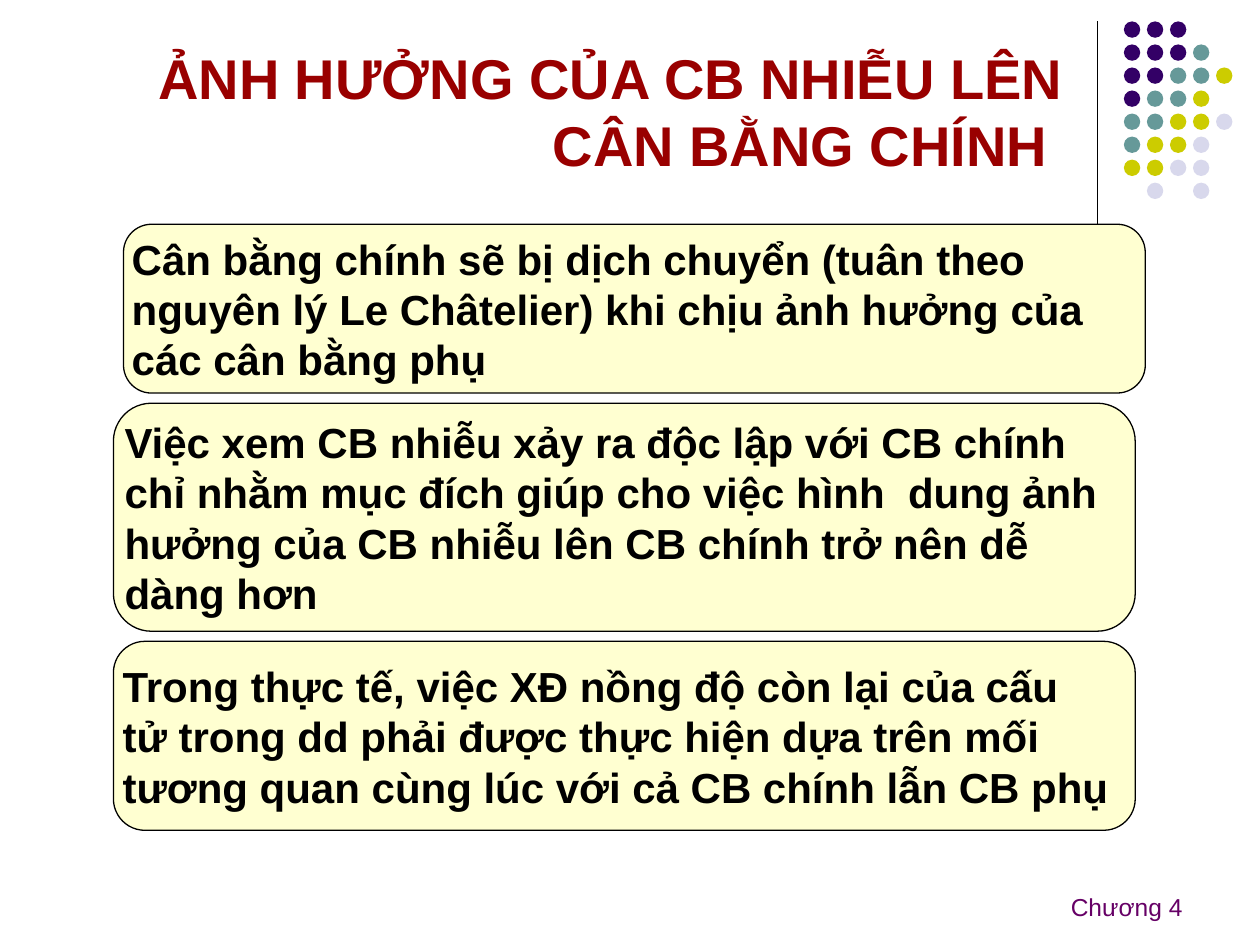
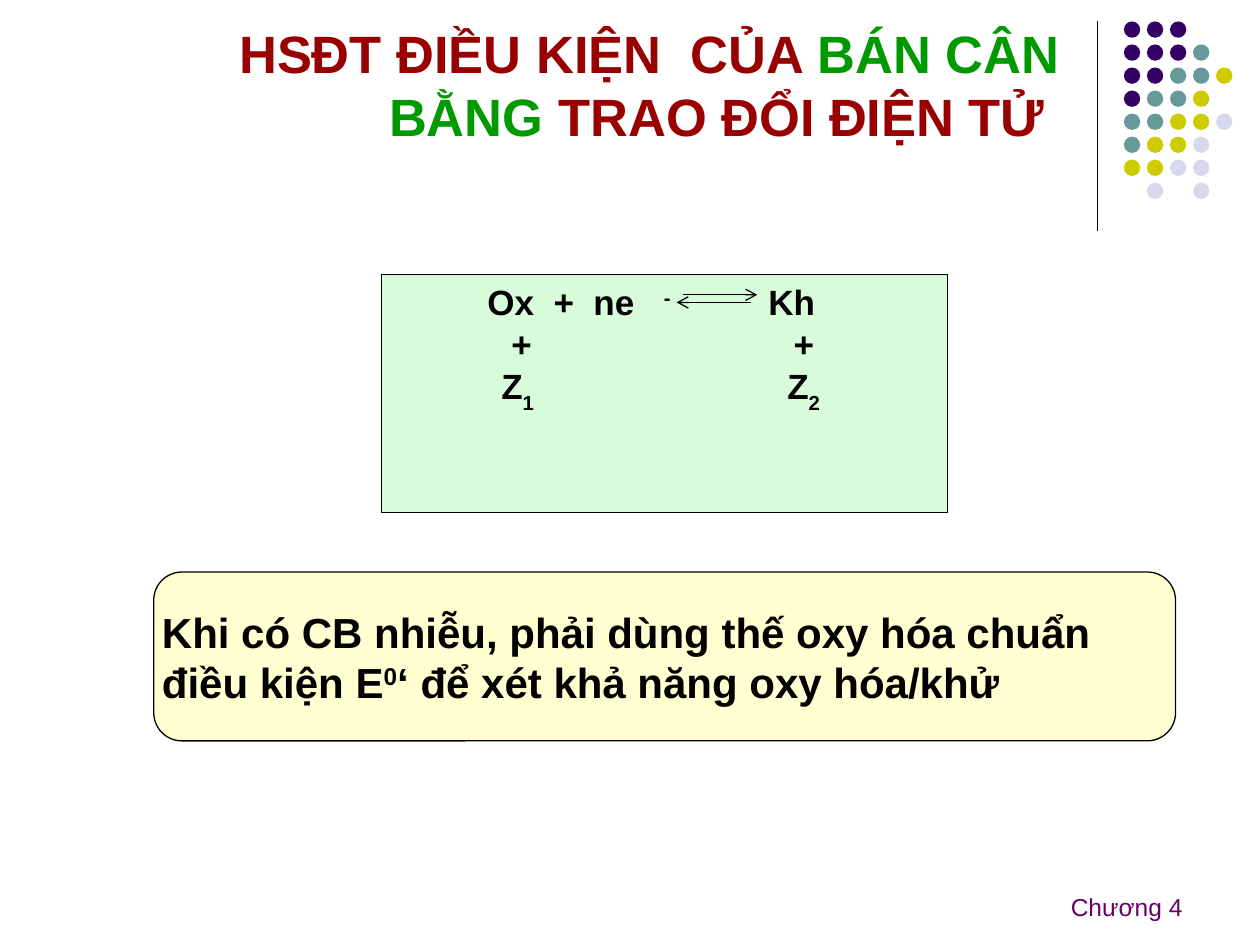
from lxml import etree
from pptx import Presentation
from pptx.dml.color import RGBColor
from pptx.enum import shapes, text
from pptx.oxml import ns
from pptx.util import Inches, Pt

BLACK, RED, GREEN, PURPLE = "000000", "990000", "009900", "660066"
CREAM, MINT = "FFFFD1", "D8FCDA"
DOT_COLORS = {"P": "330066", "T": "669999", "Y": "CCCC00", "L": "D8D8EC"}
DOT_ROWS = ["PPP", "PPPT", "PPTTY", "PTTY", "TTYYL", "TYYL", "YYLL", " L L"]
DOT_SIZE, DOT_PITCH = 0.13, 1.28 / 7

# Vietnamese tones are stored as combining marks after the vowel
VOWELS = "aăâeêioôơuưy"
TONED_VOWELS = {
    0x300: "àằầèềìòồờùừỳ",
    0x301: "áắấéếíóốớúứý",
    0x303: "ãẵẫẽễĩõỗỡũữỹ",
    0x309: "ảẳẩẻểỉỏổởủửỷ",
    0x323: "ạặậẹệịọộợụựỵ",
}
TONE_TABLE = {}
for mark, toned_vowels in TONED_VOWELS.items():
    for vowel, toned in zip(VOWELS + VOWELS.upper(), toned_vowels + toned_vowels.upper()):
        TONE_TABLE[ord(toned)] = vowel + chr(mark)


def paint(shape, fill, outline=None):
    """Give a shape a flat fill and a thin outline, or none."""
    shape.shadow.inherit = False
    shape.fill.solid()
    shape.fill.fore_color.rgb = RGBColor.from_string(fill)
    if outline:
        shape.line.color.rgb = RGBColor.from_string(outline)
        shape.line.width = Pt(0.75)
    else:
        shape.line.fill.background()


def write(shape, lines, size, color, bold=True, align=text.PP_ALIGN.LEFT, **frame_format):
    """Write lines of (text, colour, baseline) runs; plain strings take the defaults."""
    frame = shape.text_frame
    frame_format = {"auto_size": text.MSO_AUTO_SIZE.NONE, **frame_format}
    for name, value in frame_format.items():
        setattr(frame, name, value)
    for number, line in enumerate(lines):
        paragraph = frame.add_paragraph() if number else frame.paragraphs[0]
        paragraph.alignment = align
        for part in [line] if isinstance(line, str) else line:
            words, run_color, baseline = (part, color, 0) if isinstance(part, str) else part
            run = paragraph.add_run()
            run.text = words.translate(TONE_TABLE)
            for name, value in {"name": "Arial", "size": Pt(size), "bold": bold}.items():
                setattr(run.font, name, value)
            run.font.color.rgb = RGBColor.from_string(run_color)
            if baseline:
                run.font._element.set("baseline", str(baseline * 1000))


# Content of the two slides
slides = [
    {
        "title": ["ẢNH HƯỞNG CỦA CB NHIỄU LÊN CÂN BẰNG CHÍNH "],
        "title_place": (0.51, 0.29, 8.03, 1.17),
        "title_size": 32,
        "title_anchor": text.MSO_ANCHOR.MIDDLE,
        "statements": [
            ((0.98, 1.78, 8.11, 1.34), [
                "Cân bằng chính sẽ bị dịch chuyển (tuân theo",
                "nguyên lý Le Châtelier) khi chịu ảnh hưởng của",
                "các cân bằng phụ"]),
            ((0.9, 3.2, 8.11, 1.81), [
                "Việc xem CB nhiễu xảy ra độc lập với CB chính",
                "chỉ nhằm mục đích giúp cho việc hình  dung ảnh",
                "hưởng của CB nhiễu lên CB chính trở nên dễ",
                "dàng hơn"]),
            ((0.9, 5.09, 8.11, 1.5), [
                "Trong thực tế, việc XĐ nồng độ còn lại của cấu",
                "tử trong dd phải được thực hiện dựa trên mối",
                "tương quan cùng lúc với cả CB chính lẫn CB phụ"]),
        ],
    },
    {
        "title": ["HSĐT ĐIỀU KIỆN  CỦA ", ("BÁN CÂN BẰNG ", GREEN, 0), "TRAO ĐỔI ĐIỆN TỬ "],
        "title_place": (1.14, 0.12, 7.37, 1.1),
        "title_size": 30,
        "title_anchor": text.MSO_ANCHOR.BOTTOM,
        "statements": [
            ((1.22, 4.54, 8.11, 1.34), [
                "Khi có CB nhiễu, phải dùng thế oxy hóa chuẩn",
                ["điều kiện E", ("0", BLACK, 30), "‘ để xét khả năng oxy hóa/khử"]]),
        ],
    },
]

deck = Presentation()
deck.slide_width, deck.slide_height = Inches(10), Inches(7.5)
title_only = deck.slide_layouts[5]

for content in slides:
    slide = deck.slides.add_slide(title_only)

    # Title
    title = slide.shapes.title
    for side, value in zip(("left", "top", "width", "height"), content["title_place"]):
        setattr(title, side, Inches(value))
    write(title, [content["title"]], content["title_size"], RED, align=text.PP_ALIGN.RIGHT,
          vertical_anchor=content["title_anchor"], word_wrap=True)

    # Vertical rule and dot pattern in the corner
    rule = slide.shapes.add_connector(shapes.MSO_CONNECTOR.STRAIGHT, Inches(8.71), Inches(0.17),
                                      Inches(8.71), Inches(1.83))
    connectors = [rule]
    dots = slide.shapes.add_group_shape()
    for row, keys in enumerate(DOT_ROWS):
        for column, key in enumerate(keys):
            if key != " ":
                dot = dots.shapes.add_shape(
                    shapes.MSO_SHAPE.OVAL, Inches(8.92 + column * DOT_PITCH),
                    Inches(0.17 + row * DOT_PITCH), Inches(DOT_SIZE), Inches(DOT_SIZE))
                paint(dot, DOT_COLORS[key])

    # Chapter footer
    chapter = slide.shapes.add_textbox(Inches(8.4), Inches(7.03), Inches(1.09), Inches(0.34))
    write(chapter, ["Chương 4"], 14, PURPLE, bold=False, word_wrap=False)

    # Half-reaction with its side reactions, on the second slide only
    if content is slides[1]:
        reaction = slide.shapes.add_group_shape()
        equation = reaction.shapes.add_shape(shapes.MSO_SHAPE.RECTANGLE, Inches(3.03), Inches(2.18),
                                             Inches(4.49), Inches(1.89))
        paint(equation, MINT, BLACK)
        write(equation, [["\tOx  +  ne\t", ("-", BLACK, 30), "\tKh"],
                         "\t+\t+",
                         ["\tZ", ("1", BLACK, -30), "\tZ", ("2", BLACK, -30)]],
              20, BLACK, vertical_anchor=text.MSO_ANCHOR.TOP, word_wrap=True)
        tab_stops = [(0.74, 2.14, 2.97), (0.93, 3.17), (0.85, 3.12)]
        for paragraph, stops in zip(equation.text_frame.paragraphs, tab_stops):
            tabs = etree.SubElement(paragraph._p.get_or_add_pPr(), ns.qn("a:tabLst"))
            for stop in stops:
                etree.SubElement(tabs, ns.qn("a:tab"), pos=str(Inches(stop)), algn="l")

        # Forward and backward arrows
        for start, end, y in [(5.42, 6.01, 2.34), (5.96, 5.37, 2.4)]:
            arrow = reaction.shapes.add_connector(shapes.MSO_CONNECTOR.STRAIGHT, Inches(start),
                                                  Inches(y), Inches(end), Inches(y))
            etree.SubElement(arrow.line._get_or_add_ln(), ns.qn("a:tailEnd"), type="arrow")
            connectors.append(arrow)

    for connector in connectors:
        connector.line.color.rgb = RGBColor.from_string(BLACK)
        connector.line.width = Pt(0.75)
        etree.SubElement(connector._element.spPr, ns.qn("a:effectLst"))

    # Rounded statement boxes
    for place, lines in content["statements"]:
        statement = slide.shapes.add_shape(shapes.MSO_SHAPE.ROUNDED_RECTANGLE,
                                           *[Inches(value) for value in place])
        paint(statement, CREAM, BLACK)
        write(statement, lines, 24, BLACK, vertical_anchor=text.MSO_ANCHOR.MIDDLE,
              word_wrap=False, margin_left=0, margin_right=0)

deck.save("out.pptx")
